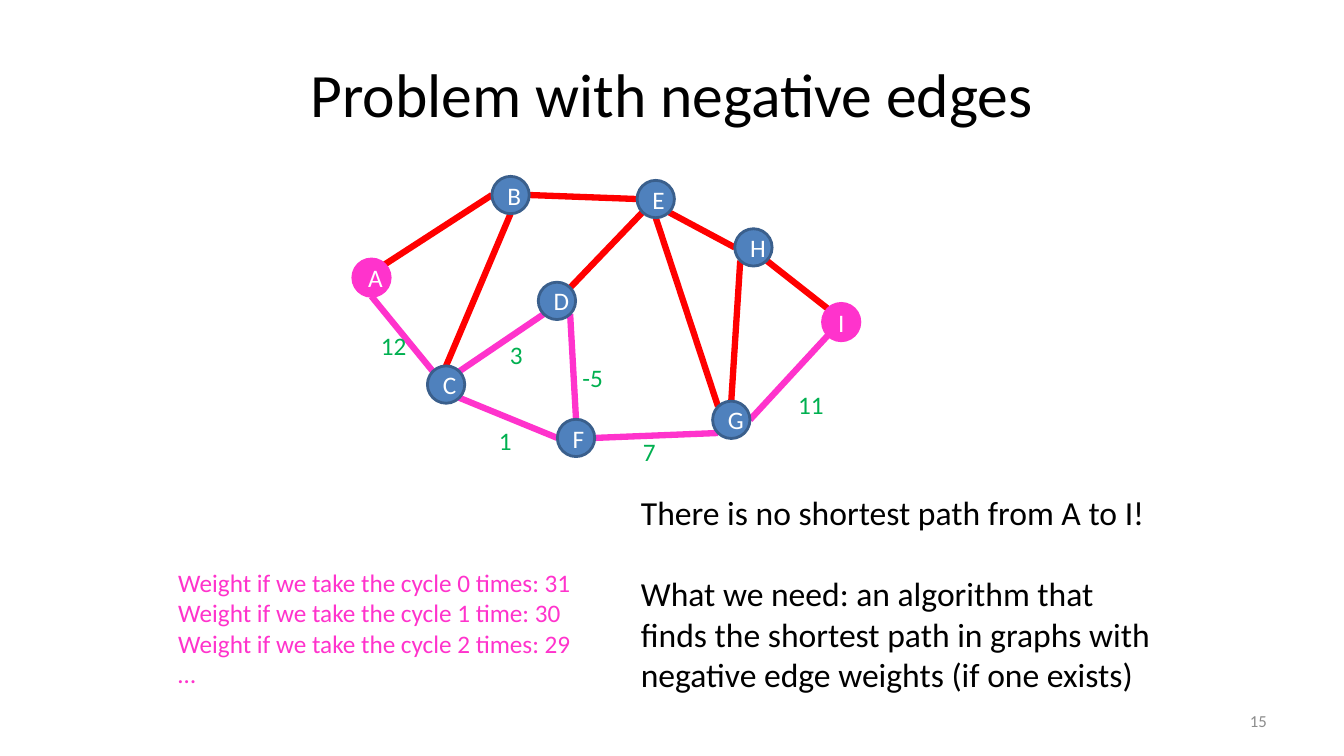
from dataclasses import dataclass
from enum import Enum
from math import sqrt

from lxml.etree import SubElement
from pptx import Presentation
from pptx.dml.color import RGBColor
from pptx.enum.shapes import MSO_CONNECTOR, MSO_SHAPE
from pptx.enum.text import MSO_ANCHOR, MSO_AUTO_SIZE, PP_ALIGN
from pptx.oxml.ns import qn
from pptx.shapes.group import GroupShape
from pptx.slide import Slide
from pptx.text.text import TextFrame
from pptx.util import Inches, Length, Pt

SLIDE_WIDTH = Inches(13.33)
SLIDE_HEIGHT = Inches(7.5)
FONT = "Calibri"

BLACK = RGBColor(0x00, 0x00, 0x00)
WHITE = RGBColor(0xFF, 0xFF, 0xFF)
GRAY = RGBColor(0x8C, 0x8C, 0x8C)
RED = RGBColor(0xFF, 0x00, 0x00)
PINK = RGBColor(0xFF, 0x33, 0xCC)
GREEN = RGBColor(0x00, 0xB0, 0x50)
BLUE = RGBColor(0x4F, 0x81, 0xBD)
DARK_BLUE = RGBColor(0x3A, 0x5F, 0x8C)


def across(percent: float) -> Length:
    """Share of the slide's width."""
    return Length(round(SLIDE_WIDTH * percent / 100))


def down(percent: float) -> Length:
    """Share of the slide's height."""
    return Length(round(SLIDE_HEIGHT * percent / 100))


NODE_DIAMETER = across(2.78)
DIAGONAL = 1 / sqrt(2)


class Side(Enum):
    """Point on a node's rim, in radii from its centre."""
    TOP = (0, -1)
    TOP_RIGHT = (DIAGONAL, -DIAGONAL)
    RIGHT = (1, 0)
    BOTTOM_RIGHT = (DIAGONAL, DIAGONAL)
    BOTTOM = (0, 1)
    BOTTOM_LEFT = (-DIAGONAL, DIAGONAL)
    LEFT = (-1, 0)
    TOP_LEFT = (-DIAGONAL, -DIAGONAL)


@dataclass(frozen=True)
class Node:
    name: str
    column: float
    row: float
    fill: RGBColor = BLUE
    outline: RGBColor = DARK_BLUE

    def rim(self, side: Side) -> tuple[Length, Length]:
        radius = NODE_DIAMETER / 2
        horizontal, vertical = side.value
        return (Length(round(across(self.column) + radius * horizontal)),
                Length(round(down(self.row) + radius * vertical)))


@dataclass(frozen=True)
class Edge:
    start: str
    start_side: Side
    end: str
    end_side: Side
    color: RGBColor = RED


@dataclass(frozen=True)
class Box:
    left: float
    top: float
    width: float
    height: float


@dataclass(frozen=True)
class Weight:
    text: str
    box: Box


NODES = [
    Node("A", 27.64, 36.73, PINK, PINK),
    Node("B", 37.99, 25.8),
    Node("C", 33.19, 50.87),
    Node("D", 41.44, 39.8),
    Node("E", 48.79, 26.33),
    Node("F", 42.86, 57.93),
    Node("G", 54.41, 55.53),
    Node("I", 62.59, 42.6, PINK, PINK),
    Node("H", 56.06, 32.73),
]
EDGES = [
    Edge("A", Side.TOP_RIGHT, "B", Side.LEFT),
    Edge("B", Side.RIGHT, "E", Side.LEFT),
    Edge("A", Side.BOTTOM, "C", Side.TOP_LEFT, PINK),
    Edge("D", Side.BOTTOM_LEFT, "C", Side.TOP_RIGHT, PINK),
    Edge("F", Side.LEFT, "C", Side.BOTTOM_RIGHT, PINK),
    Edge("D", Side.BOTTOM_RIGHT, "F", Side.TOP, PINK),
    Edge("D", Side.TOP_RIGHT, "E", Side.BOTTOM_LEFT),
    Edge("F", Side.RIGHT, "G", Side.BOTTOM_LEFT, PINK),
    Edge("G", Side.TOP_LEFT, "E", Side.BOTTOM),
    Edge("H", Side.LEFT, "E", Side.BOTTOM_RIGHT),
    Edge("G", Side.TOP, "H", Side.BOTTOM_LEFT),
    Edge("I", Side.TOP_LEFT, "H", Side.BOTTOM_RIGHT),
    Edge("I", Side.BOTTOM_LEFT, "G", Side.RIGHT, PINK),
    Edge("B", Side.BOTTOM, "C", Side.TOP),
]
WEIGHTS = [
    Weight("7", Box(47.1, 57.07, 2.48, 5.33)),
    Weight("11", Box(58.65, 50.8, 3.45, 5.33)),
    Weight("-5", Box(42.6, 47.33, 3.08, 5.33)),
    Weight("3", Box(37.2, 44.27, 2.48, 5.33)),
    Weight("1", Box(36.38, 55.6, 2.48, 5.33)),
    Weight("12", Box(27.6, 43.07, 3.45, 5.33)),
]
CYCLE_WEIGHTS = """Weight if we take the cycle 0 times: 31
Weight if we take the cycle 1 time: 30
Weight if we take the cycle 2 times: 29
…"""
CONCLUSION = """There is no shortest path from A to I!
What we need: an algorithm that finds the shortest path in graphs with negative edge weights (if one exists)"""


def write(frame: TextFrame, text: str, *, size: float = 18, color: RGBColor = BLACK,
          align: PP_ALIGN = PP_ALIGN.LEFT, anchor: MSO_ANCHOR = MSO_ANCHOR.TOP,
          wrap: bool = True, gap: float = 0) -> None:
    """Fill the frame, one paragraph a line, with a gap in points between them."""
    frame.text = text
    frame.word_wrap = wrap
    frame.vertical_anchor = anchor
    if not wrap:
        frame.auto_size = MSO_AUTO_SIZE.SHAPE_TO_FIT_TEXT
    for index, paragraph in enumerate(frame.paragraphs):
        paragraph.alignment = align
        if index and gap:
            paragraph.space_before = Pt(gap)
        font = paragraph.font
        font.name, font.size = FONT, Pt(size)
        font.color.rgb = color


def add_text_box(parent: Slide | GroupShape, box: Box) -> TextFrame:
    return parent.shapes.add_textbox(across(box.left), down(box.top),
                                     across(box.width), down(box.height)).text_frame


def add_edge(graph: GroupShape, edge: Edge, nodes: dict[str, Node]) -> None:
    connector = graph.shapes.add_connector(
        MSO_CONNECTOR.STRAIGHT,
        *nodes[edge.start].rim(edge.start_side), *nodes[edge.end].rim(edge.end_side))
    connector.line.color.rgb = edge.color
    connector.line.width = Pt(4.5)
    SubElement(connector.element.spPr, qn("a:effectLst"))


def add_node(graph: GroupShape, node: Node) -> None:
    left, _ = node.rim(Side.LEFT)
    _, top = node.rim(Side.TOP)
    shape = graph.shapes.add_shape(MSO_SHAPE.OVAL, left, top, NODE_DIAMETER, NODE_DIAMETER)
    shape.shadow.inherit = False
    shape.fill.solid()
    shape.fill.fore_color.rgb = node.fill
    shape.line.color.rgb = node.outline
    shape.line.width = Pt(2)
    write(shape.text_frame, node.name, color=WHITE, align=PP_ALIGN.CENTER,
          anchor=MSO_ANCHOR.MIDDLE)


def main() -> None:
    presentation = Presentation()
    presentation.slide_width, presentation.slide_height = SLIDE_WIDTH, SLIDE_HEIGHT
    slide = presentation.slides.add_slide(presentation.slide_layouts[6])

    write(add_text_box(slide, Box(5, 4, 90, 16.67)), "Problem with negative edges",
          size=44, align=PP_ALIGN.CENTER, anchor=MSO_ANCHOR.MIDDLE)
    write(add_text_box(slide, Box(71.67, 92.67, 23.33, 5.33)), "15",
          size=12, color=GRAY, align=PP_ALIGN.RIGHT, anchor=MSO_ANCHOR.MIDDLE)

    graph = slide.shapes.add_group_shape()
    nodes = {node.name: node for node in NODES}
    for edge in EDGES:
        add_edge(graph, edge, nodes)
    for weight in WEIGHTS:
        write(add_text_box(graph, weight.box), weight.text, color=GREEN, wrap=False)
    for node in NODES:
        add_node(graph, node)

    write(add_text_box(slide, Box(12.52, 74.4, 31.05, 17.47)), CYCLE_WEIGHTS,
          color=PINK, wrap=False)
    write(add_text_box(slide, Box(46.95, 64.4, 40.58, 28.27)), CONCLUSION,
          size=24, gap=29.3)
    presentation.save("out.pptx")


if __name__ == "__main__":
    main()
